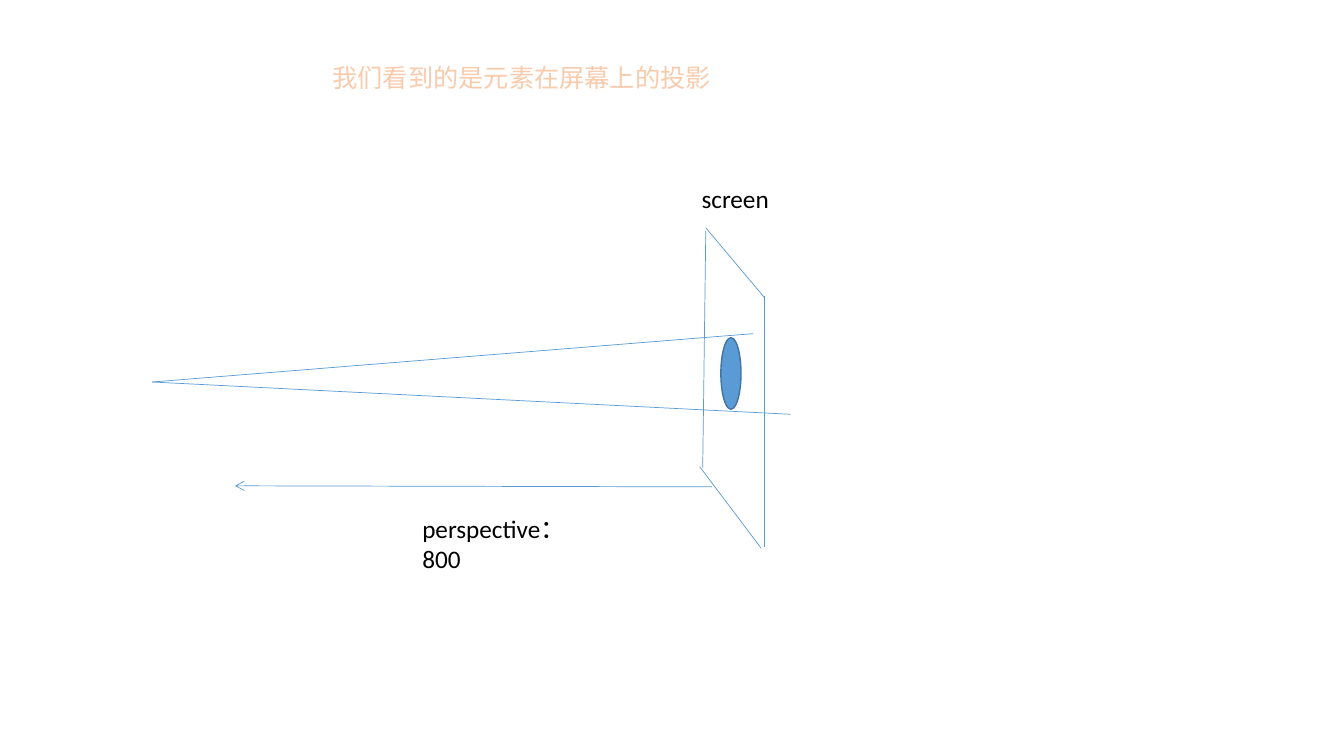
from lxml import etree
from pptx import Presentation
from pptx.dml.color import RGBColor
from pptx.enum.shapes import MSO_CONNECTOR, MSO_SHAPE
from pptx.oxml.ns import qn
from pptx.util import Inches, Pt

STRAIGHT = MSO_CONNECTOR.STRAIGHT
OVAL = MSO_SHAPE.OVAL
BLUE = RGBColor(0x5B, 0x9B, 0xD5)
DARK_BLUE = RGBColor(0x43, 0x73, 0x9E)
PEACH = RGBColor(0xF8, 0xCB, 0xAD)
BLACK = RGBColor(0, 0, 0)


def add_line(slide, start, end, arrow=False):
    """Draw a thin blue line, with an open arrowhead at its end if asked."""
    connector = slide.shapes.add_connector(
        STRAIGHT, *(Inches(value) for value in (*start, *end)))
    connector.line.color.rgb = BLUE
    connector.line.width = Pt(0.5)
    properties = connector._element.spPr
    if arrow:
        etree.SubElement(properties.find(qn("a:ln")), qn("a:tailEnd"), type="arrow")
    etree.SubElement(properties, qn("a:effectLst"))


def add_label(slide, text, left, top, width, color=BLACK, wrap=False):
    """Place an 18-point label."""
    box = slide.shapes.add_textbox(Inches(left), Inches(top), Inches(width), Inches(0.4))
    box.text_frame.word_wrap = wrap
    paragraph = box.text_frame.paragraphs[0]
    paragraph.text = text
    paragraph.font.name = "Calibri"
    paragraph.font.size = Pt(18)
    paragraph.font.color.rgb = color


def add_screen(slide, left, top):
    """Draw the slanted screen with its label and the projected element."""
    edges = (
        ((0.06, 0.03), (0.03, 2.38)),
        ((0.06, 0), (0.64, 0.69)),
        ((0.64, 0.68), (0.64, 3.17)),
        ((0, 2.37), (0.61, 3.18)),
    )
    for edge in edges:
        add_line(slide, *((left + x, top + y) for x, y in edge))
    element = slide.shapes.add_shape(
        OVAL, Inches(left + 0.21), Inches(top + 1.09), Inches(0.2), Inches(0.71))
    element.shadow.inherit = False
    element.fill.solid()
    element.fill.fore_color.rgb = BLUE
    element.line.color.rgb = DARK_BLUE
    element.line.width = Pt(1)
    add_label(slide, "screen", left - 0.08, top - 0.49, 0.87)


def add_sight_lines(slide, left, top):
    """Draw the two sight lines that spread from the eye."""
    eye = (left, top)
    for run, rise in ((5.96, -0.48), (6.33, 0.32)):
        add_line(slide, eye, (left + run, top + rise))


def add_distance(slide, left, top, width):
    """Draw the viewing distance arrow with its label below."""
    add_line(slide, (left + width, top + 0.01), (left, top), arrow=True)
    add_label(slide, "perspective：800", left + 1.76, top + 0.22, 1.8, wrap=True)


def main():
    """Build and save the slide."""
    presentation = Presentation()
    presentation.slide_width = Inches(13.33)
    presentation.slide_height = Inches(7.5)
    slide = presentation.slides.add_slide(presentation.slide_layouts[6])
    add_screen(slide, 6.94, 2.26)
    add_sight_lines(slide, 1.51, 3.79)
    add_distance(slide, 2.33, 4.82, 4.73)
    add_label(slide, "我们看到的是元素在屏幕上的投影", 3.2, 0.57, 3.95, PEACH)
    presentation.save("out.pptx")


if __name__ == "__main__":
    main()
